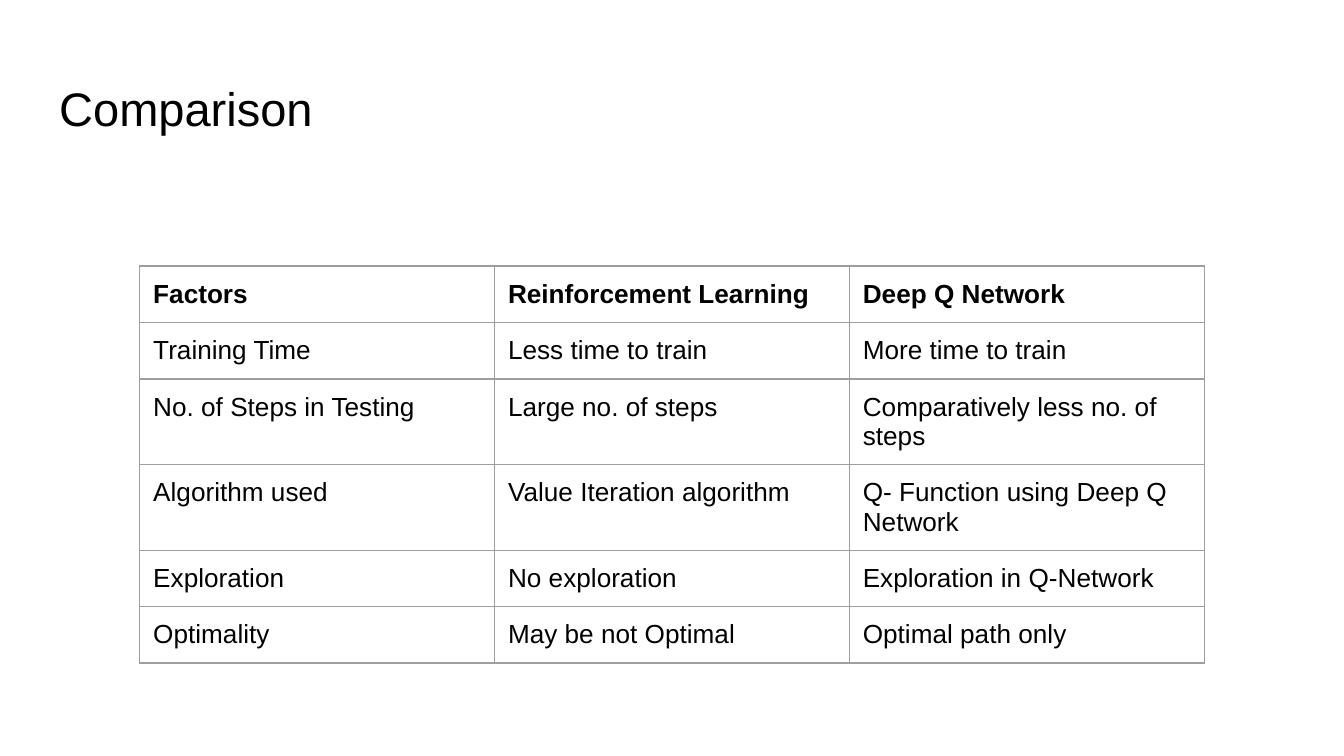
from dataclasses import dataclass

import pptx
import pptx.dml.color
import pptx.enum.text
import pptx.oxml
import pptx.oxml.ns
import pptx.util
from pptx.util import Inches


@dataclass(frozen=True)
class Theme:
    font: str = "Arial"
    text: str = "000000"
    border: str = "9E9E9E"
    title_size: float = 25.2
    cell_size: float = 14
    border_width: float = 0.75
    inset: float = 0.1


@dataclass(frozen=True)
class Comparison:
    factor: str
    reinforcement: str
    deep_q: str
    bold: bool = False


THEME = Theme()
SLIDE_WIDTH = 10
SLIDE_HEIGHT = SLIDE_WIDTH * 9 / 16
ROW_HEIGHT = 0.42
COLUMN_WIDTH = 2.64
ROWS = [
    Comparison("Factors", "Reinforcement Learning", "Deep Q Network", bold=True),
    Comparison("Training Time", "Less time to train", "More time to train"),
    Comparison("No. of Steps in Testing", "Large no. of steps",
               "Comparatively less no. of steps"),
    Comparison("Algorithm used", "Value Iteration algorithm",
               "Q- Function using Deep Q Network"),
    Comparison("Exploration", "No exploration", "Exploration in Q-Network"),
    Comparison("Optimality", "May be not Optimal", "Optimal path only"),
]


def set_attributes(target, values: dict) -> None:
    for name, value in values.items():
        setattr(target, name, value)


def set_insets(target) -> None:
    """Give a cell or text frame the same margin on every side."""
    sides = ("left", "right", "top", "bottom")
    set_attributes(target, {f"margin_{s}": Inches(THEME.inset) for s in sides})


def write_text(tf, text: str, size: float, bold: bool = False) -> None:
    p = tf.paragraphs[0]
    p.alignment = pptx.enum.text.PP_ALIGN.LEFT
    r = p.add_run()
    r.text = text
    set_attributes(r.font, {"name": THEME.font, "size": pptx.util.Pt(size), "bold": bold})
    r.font.color.rgb = pptx.dml.color.RGBColor.from_string(THEME.text)


def set_borders(cell) -> None:
    """Outline a cell; lines must come before the fill in its properties."""
    props = cell._tc.get_or_add_tcPr()
    for i, side in enumerate(("lnL", "lnR", "lnT", "lnB")):
        props.insert(i, pptx.oxml.parse_xml(
            f'<a:{side} {pptx.oxml.ns.nsdecls("a")} w="{pptx.util.Pt(THEME.border_width)}">'
            f'<a:solidFill><a:srgbClr val="{THEME.border}"/></a:solidFill></a:{side}>'))


def add_title(s, text: str) -> None:
    sp = s.shapes.title
    set_attributes(sp, {"left": Inches(0.34), "top": Inches(0.49),
                        "width": Inches(9.32), "height": Inches(0.63)})
    tf = sp.text_frame
    set_attributes(tf, {"word_wrap": True,
                        "auto_size": pptx.enum.text.MSO_AUTO_SIZE.NONE,
                        "vertical_anchor": pptx.enum.text.MSO_ANCHOR.TOP})
    set_insets(tf)
    write_text(tf, text, THEME.title_size)


def add_comparison_table(s, rows: list[Comparison]) -> None:
    table = s.shapes.add_table(
        len(rows), 3, Inches(1.04), Inches(1.98),
        Inches(3 * COLUMN_WIDTH), Inches(len(rows) * ROW_HEIGHT)).table
    set_attributes(table, {"first_row": False, "horz_banding": False})
    for row, data in zip(table.rows, rows):
        for cell, text in zip(row.cells, (data.factor, data.reinforcement, data.deep_q)):
            cell.fill.background()
            cell.vertical_anchor = pptx.enum.text.MSO_ANCHOR.TOP
            set_insets(cell)
            set_borders(cell)
            write_text(cell.text_frame, text, THEME.cell_size, data.bold)


def main() -> None:
    prs = pptx.Presentation()
    prs.slide_width = Inches(SLIDE_WIDTH)
    prs.slide_height = Inches(SLIDE_HEIGHT)
    s = prs.slides.add_slide(prs.slide_layouts[5])
    add_title(s, "Comparison")
    add_comparison_table(s, ROWS)
    prs.save("out.pptx")


if __name__ == "__main__":
    main()
